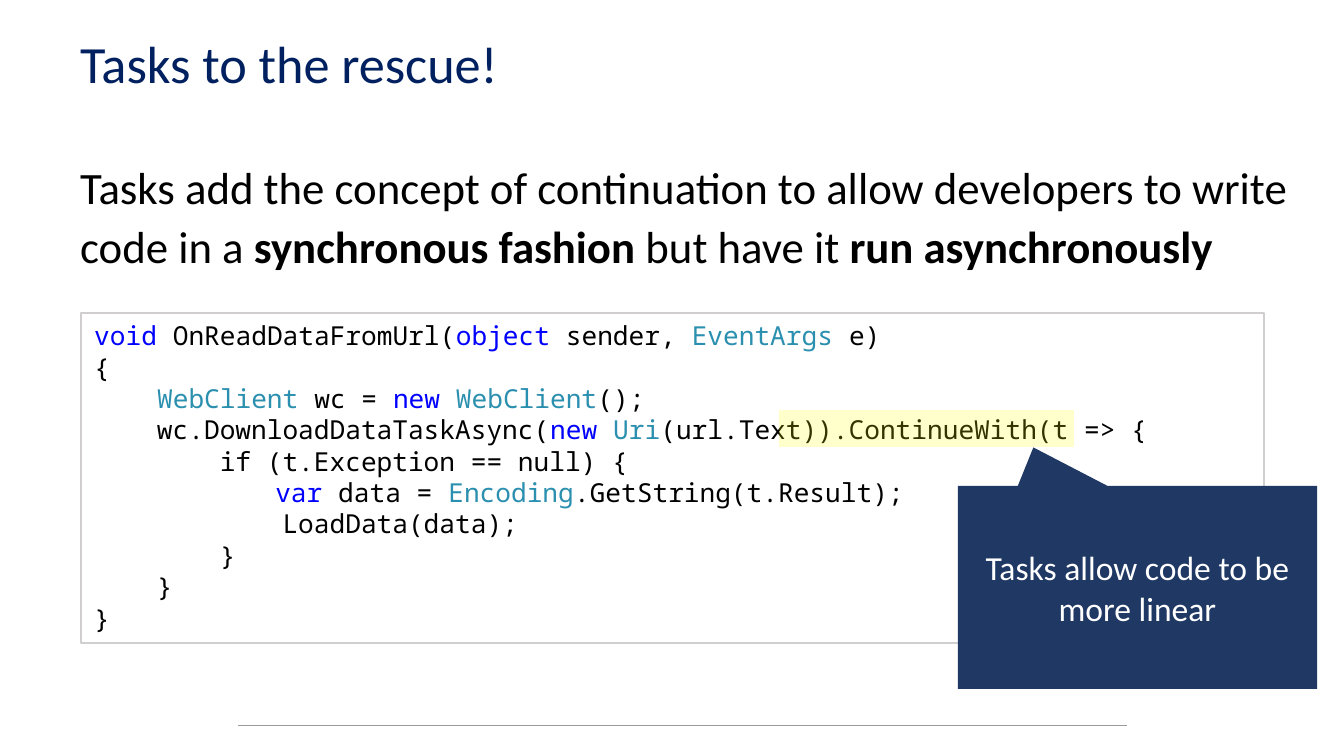
from lxml.etree import SubElement
from pptx import Presentation
from pptx.dml.color import RGBColor
from pptx.enum.shapes import MSO_CONNECTOR as Connector, MSO_SHAPE as Shape
from pptx.enum.text import MSO_ANCHOR as Anchor, PP_ALIGN as Align
from pptx.oxml.ns import qn
from pptx.util import Pt

EMU_PER_PX = 914400 / 134.4
WHITE, BLACK, NAVY, CALLOUT = "FFFFFF", "000000", "002060", "203864"
KEYWORD, TYPE = "0000FF", "2B8FAF"

CODE = [
    [("void ", KEYWORD), ("OnReadDataFromUrl(", BLACK), ("object", KEYWORD),
     (" sender, ", BLACK), ("EventArgs ", TYPE), ("e)", BLACK)],
    [("{", BLACK)],
    [("    ", BLACK), ("WebClient ", TYPE), ("wc = ", BLACK),
     ("new ", KEYWORD), ("WebClient", TYPE), ("();", BLACK)],
    [("    wc.DownloadDataTaskAsync(", BLACK), ("new ", KEYWORD),
     ("Uri", TYPE), ("(url.Text)).ContinueWith(t => {", BLACK)],
    [("        if (t.Exception == null) {", BLACK)],
    [("\t\t   var", KEYWORD), (" data = ", BLACK), ("Encoding", TYPE),
     (".GetString(t.Result);", BLACK)],
    [("            LoadData(data);", BLACK)],
    [("        }", BLACK)],
    [("    }", BLACK)],
    [("}", BLACK)],
]


def px(length):
    return round(length * EMU_PER_PX)


def color(value):
    return RGBColor.from_string(value)


class SlideBuilder:
    text_font = "Calibri"
    code_font = "Noto Sans Mono"
    tab_stops = (67, 134)

    def __init__(self, slide):
        self.slide = slide

    def set_font(self, paragraph, name, size, hue=None):
        paragraph.font.name = name
        paragraph.font.size = Pt(size)
        if hue:
            paragraph.font.color.rgb = color(hue)

    def text(self, box, runs, size, hue, anchor=Anchor.TOP, spacing=None):
        frame = self.slide.shapes.add_textbox(*map(px, box)).text_frame
        frame.word_wrap = True
        frame.vertical_anchor = anchor
        paragraph = frame.paragraphs[0]
        paragraph.line_spacing = spacing
        self.set_font(paragraph, self.text_font, size, hue)
        for words, bold in runs:
            run = paragraph.add_run()
            run.text = words
            if bold:
                run.font.bold = True

    def shape(self, kind, box, fill, outline=None, alpha=None):
        shape = self.slide.shapes.add_shape(kind, *map(px, box))
        shape.shadow.inherit = False
        shape.fill.solid()
        shape.fill.fore_color.rgb = color(fill)
        if outline:
            shape.line.color.rgb = color(outline)
            shape.line.width = Pt(0.75)
        else:
            shape.line.fill.background()
        if alpha:
            hue = shape.fill._xPr.find(".//" + qn("a:srgbClr"))
            SubElement(hue, qn("a:alpha"), val=str(alpha * 1000))
        return shape

    def code(self, box, lines, size):
        frame = self.shape(Shape.RECTANGLE, box, WHITE, "D0CECE").text_frame
        frame.word_wrap = True
        frame.vertical_anchor = Anchor.TOP
        for number, tokens in enumerate(lines):
            line = frame.add_paragraph() if number else frame.paragraphs[0]
            line.alignment = Align.LEFT
            if tokens[0][0].startswith("\t"):
                stops = SubElement(line._p.get_or_add_pPr(), qn("a:tabLst"))
                for stop in self.tab_stops:
                    SubElement(stops, qn("a:tab"), pos=str(px(stop)), algn="l")
            self.set_font(line, self.code_font, size)
            for words, hue in tokens:
                run = line.add_run()
                run.text = words
                run.font.color.rgb = color(hue)

    def callout(self, box, words, size, tip):
        bubble = self.shape(Shape.RECTANGULAR_CALLOUT, box, CALLOUT)
        for index, offset in enumerate(tip):
            bubble.adjustments[index] = offset
        frame = bubble.text_frame
        frame.word_wrap = True
        frame.vertical_anchor = Anchor.MIDDLE
        frame.text = words
        frame.paragraphs[0].alignment = Align.CENTER
        self.set_font(frame.paragraphs[0], self.text_font, size, WHITE)

    def rule(self, left, right, y, hue):
        line = self.slide.shapes.add_connector(
            Connector.STRAIGHT, px(left), px(y), px(right), px(y))
        line.line.color.rgb = color(hue)
        line.line.width = Pt(0.5)
        SubElement(line._element.spPr, qn("a:effectLst"))


def main():
    deck = Presentation()
    deck.slide_width, deck.slide_height = px(1344), px(756)
    builder = SlideBuilder(deck.slides.add_slide(deck.slide_layouts[6]))

    builder.rule(238, 1127, 726, "9B9B9B")
    builder.text((67, 34, 1210, 58), [("Tasks to the rescue!", False)],
                 28, NAVY, Anchor.MIDDLE)
    builder.text((67, 148, 1236, 485), [
        ("Tasks add the concept of continuation to allow developers "
         "to write code in a ", False),
        ("synchronous fashion", True),
        (" but have it ", False),
        ("run asynchronously", True),
    ], 24, BLACK, spacing=1.1)
    builder.code((81, 313, 1183, 330), CODE, 14)
    builder.callout((958, 486, 359, 203), "Tasks allow code to be more linear",
                    18, tip=(-0.29, -0.69))
    builder.shape(Shape.RECTANGLE, (779, 410, 295, 37), "FFFF00", alpha=20)

    deck.save("out.pptx")


if __name__ == "__main__":
    main()
